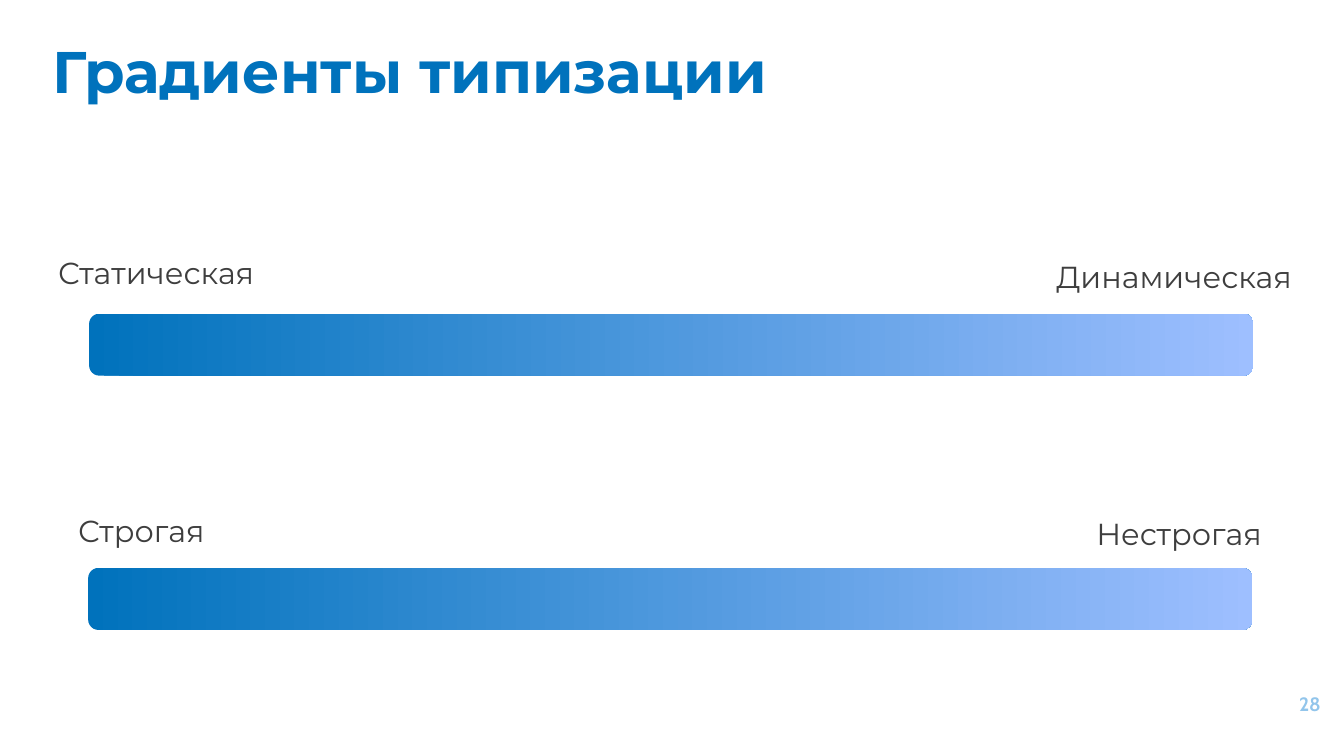
import pptx
import pptx.dml.color
import pptx.enum.shapes
import pptx.enum.text
import pptx.util

RGBColor = pptx.dml.color.RGBColor
ALIGN = pptx.enum.text.PP_ALIGN
ANCHOR = pptx.enum.text.MSO_ANCHOR

BLUE = RGBColor(0x00, 0x72, 0xBC)
LIGHT_BLUE = RGBColor(0x9E, 0xBF, 0xFF)
PAGE_BLUE = RGBColor(0x92, 0xC5, 0xEB)
DARK_GREY = RGBColor(0x3E, 0x3E, 0x3E)

SLIDE_WIDTH = pptx.util.Inches(27.06)
SLIDE_HEIGHT = pptx.util.Inches(15)

# Places are in percent of the slide's width and height.
BAR_SIZE = (86.62, 8.33)
LABEL_HEIGHT = 5.6
# Each scale: bar (left, top), then its two labels (text, left, top, width).
SCALES = [
    ((6.63, 42.1), [("Статическая", 2.55, 33.73, 18.14),
                    ("Динамическая", 75.91, 34.27, 22.91)]),
    ((6.56, 76.23), [("Строгая", 4.03, 68.4, 12.97),
                     ("Нестрогая", 80.45, 68.87, 14.56)]),
]


def area(left, top, width, height):
    """Turn percentages of the slide into lengths."""
    return (int(SLIDE_WIDTH * left / 100), int(SLIDE_HEIGHT * top / 100),
            int(SLIDE_WIDTH * width / 100), int(SLIDE_HEIGHT * height / 100))


def add_text(page, place, text, size, color, font="Montserrat", bold=False,
             align=ALIGN.LEFT, anchor=ANCHOR.TOP, margin=0.05):
    """Add one line of text; margin is the top and bottom inset in inches."""
    frame = page.shapes.add_textbox(*area(*place)).text_frame
    frame.word_wrap = True
    frame.vertical_anchor = anchor
    frame.margin_top = frame.margin_bottom = pptx.util.Inches(margin)
    para = frame.paragraphs[0]
    para.text = text
    para.alignment = align
    para.font.name = font
    para.font.size = pptx.util.Pt(size)
    para.font.bold = bold
    para.font.color.rgb = color


def add_gradient_bar(page, left, top):
    bar = page.shapes.add_shape(
        pptx.enum.shapes.MSO_SHAPE.ROUNDED_RECTANGLE,
        *area(left, top, *BAR_SIZE))
    bar.shadow.inherit = False
    bar.line.fill.background()
    bar.fill.gradient()
    bar.fill.gradient_angle = 0
    for stop, color in zip(bar.fill.gradient_stops, (BLUE, LIGHT_BLUE)):
        stop.color.rgb = color


def add_scale(page, bar_corner, labels):
    add_gradient_bar(page, *bar_corner)
    for text, left, top, width in labels:
        add_text(page, (left, top, width, LABEL_HEIGHT), text, 44, DARK_GREY,
                 align=ALIGN.CENTER)


def main():
    deck = pptx.Presentation()
    deck.slide_width = SLIDE_WIDTH
    deck.slide_height = SLIDE_HEIGHT
    page = deck.slides.add_slide(deck.slide_layouts[6])
    add_text(page, (3.55, 4.07, 89.62, 12.8), "Градиенты типизации", 85, BLUE,
             bold=True, margin=0.1)
    add_text(page, (92.65, 90.67, 5.99, 7.67), "28", 28, PAGE_BLUE,
             font="Cabin", bold=True, align=ALIGN.RIGHT,
             anchor=ANCHOR.MIDDLE, margin=0.1)
    for bar_corner, labels in SCALES:
        add_scale(page, bar_corner, labels)
    deck.save("out.pptx")


if __name__ == "__main__":
    main()
